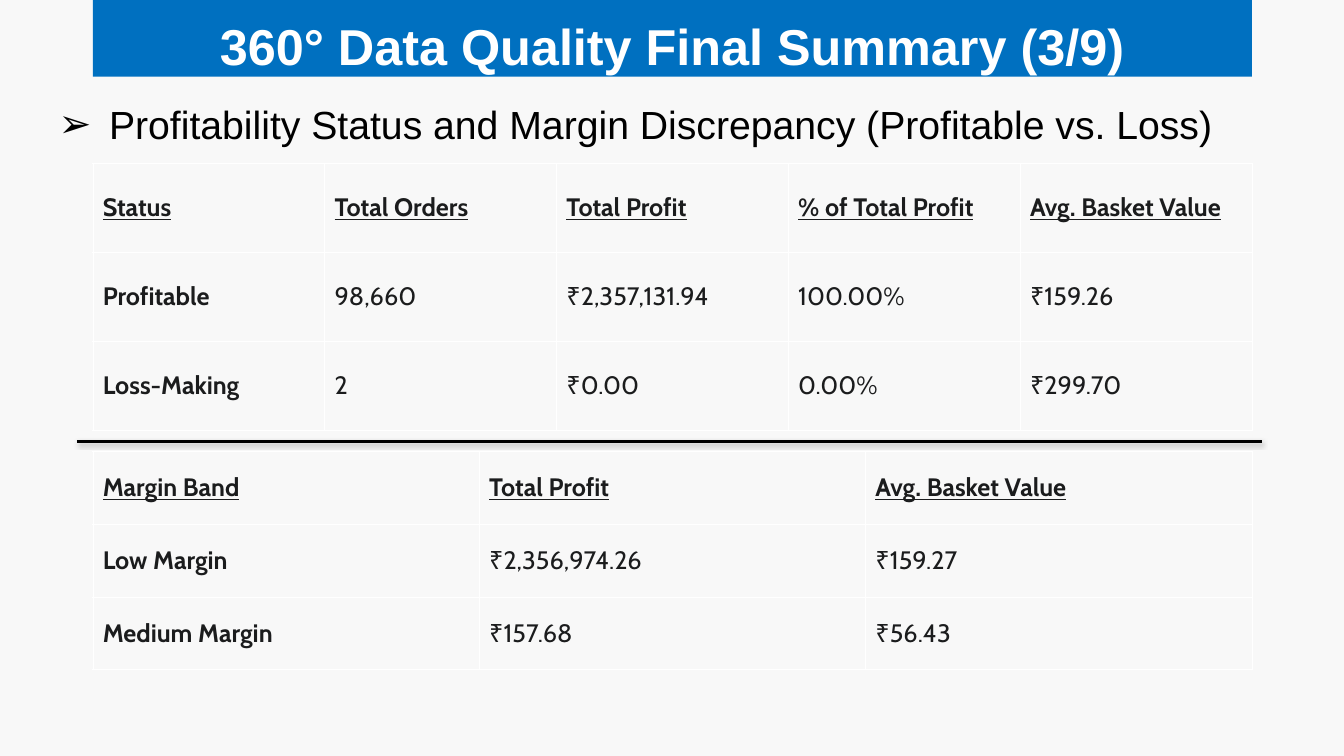
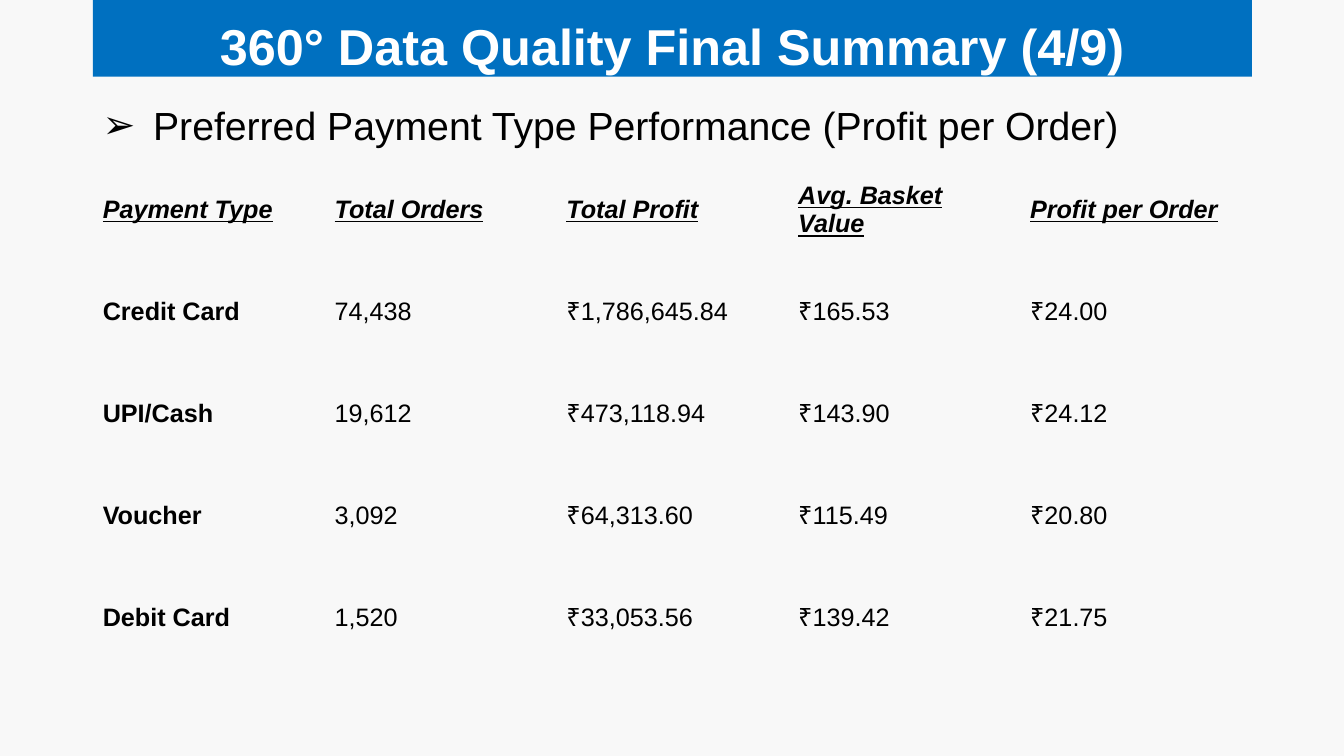
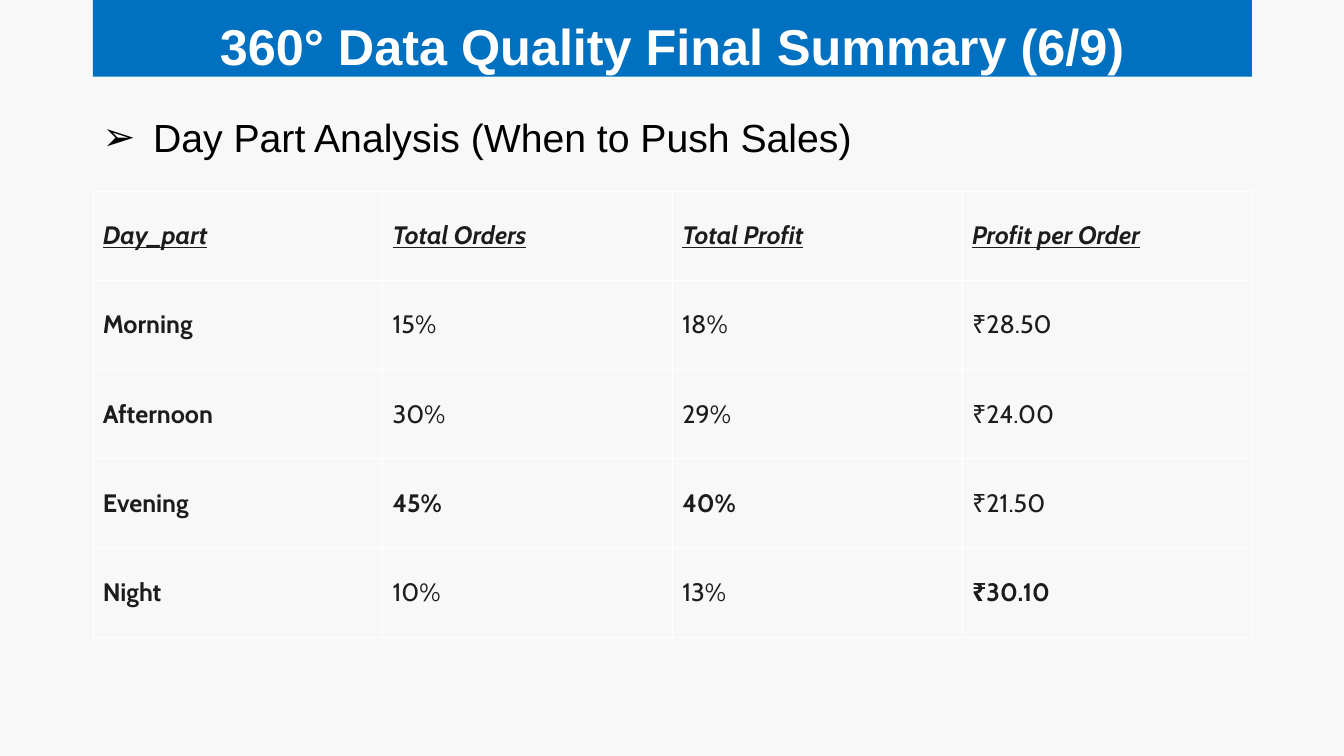
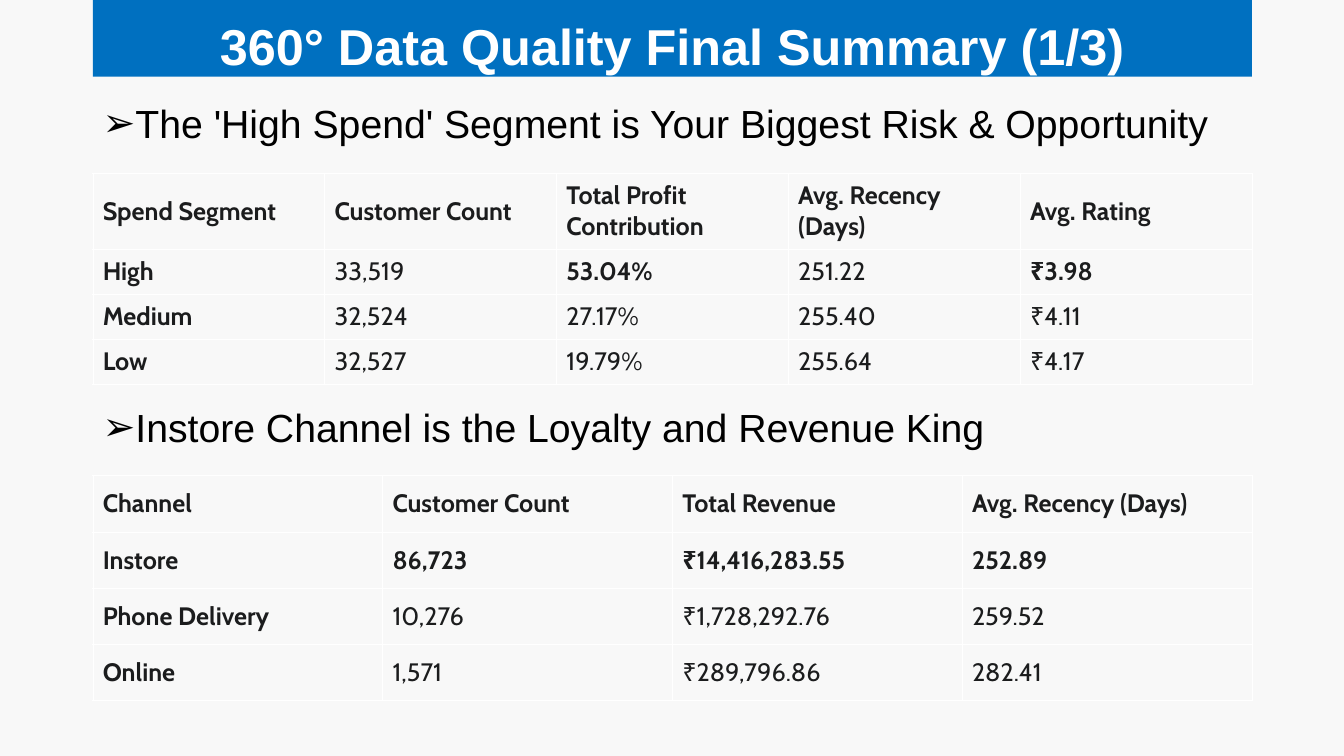
from dataclasses import dataclass

import pptx
import pptx.dml.color
import pptx.enum.shapes
import pptx.enum.text
import pptx.oxml
import pptx.oxml.ns
import pptx.util
from pptx.util import Cm, Pt

A_NS = pptx.oxml.ns.nsdecls("a")
NO_GRID_STYLE = "{2D5ABB26-0587-4C30-8999-92F81FD0307C}"


@dataclass(frozen=True)
class Theme:
    background: str = "F8F8F8"
    band: str = "0070C0"
    white: str = "FFFFFF"
    black: str = "000000"
    table_ink: str = "1B1C1D"
    main_font: str = "Arial"
    table_font: str = "Cabin"
    title_size: int = 36
    heading_size: int = 28
    table_size: int = 18


@dataclass(frozen=True)
class Box:
    """A region of the slide, in centimetres."""
    left: float
    top: float
    width: float
    height: float

    def emu(self):
        return Cm(self.left), Cm(self.top), Cm(self.width), Cm(self.height)


@dataclass(frozen=True)
class TableLook:
    font: str
    ink: str
    grid: bool = True
    header_italic: bool = False
    header_underline: bool = True
    margin_y: float = 0.18


THEME = Theme()
LEFT, WIDTH = 2.34, 29.21
TITLE_BAND = Box(LEFT, 0, WIDTH, 1.93)
HEADING_HEIGHT = 1.45

UNDERLINED = TableLook(THEME.table_font, THEME.table_ink)
ITALIC = TableLook(THEME.table_font, THEME.table_ink, header_italic=True)
PLAIN = TableLook(THEME.table_font, THEME.table_ink, header_underline=False)
OPEN = TableLook(THEME.main_font, THEME.black, grid=False,
                 header_italic=True, margin_y=0.13)


def rgb(code):
    return pptx.dml.color.RGBColor.from_string(code)


def content_box(top, height):
    return Box(LEFT, top, WIDTH, height)


def style_font(font, name, size, color, bold=False, italic=False, underline=False):
    font.name, font.size = name, Pt(size)
    font.color.rgb = rgb(color)
    font.bold, font.italic, font.underline = bold, italic, underline


def add_summary_slide(prs, part):
    """Add a title-only slide with the blue title band."""
    slide = prs.slides.add_slide(prs.slide_layouts[5])
    title = slide.shapes.title
    title.left, title.top, title.width, title.height = TITLE_BAND.emu()
    title.fill.solid()
    title.fill.fore_color.rgb = rgb(THEME.band)
    frame = title.text_frame
    frame.text = f"360° Data Quality Final Summary ({part})"
    frame.auto_size = pptx.enum.text.MSO_AUTO_SIZE.NONE
    frame.vertical_anchor = pptx.enum.text.MSO_ANCHOR.TOP
    frame.margin_top, frame.margin_bottom = Cm(0.38), 0
    paragraph = frame.paragraphs[0]
    paragraph.alignment = pptx.enum.text.PP_ALIGN.CENTER
    style_font(paragraph.runs[0].font, THEME.main_font, THEME.title_size,
               THEME.white, bold=True)
    return slide


def add_heading(slide, box, text, indent=1.27):
    """Add a section heading with an arrow bullet and a hanging indent."""
    frame = slide.shapes.add_textbox(*box.emu()).text_frame
    frame.word_wrap = True
    frame.text = text
    paragraph = frame.paragraphs[0]
    properties = paragraph._p.get_or_add_pPr()
    properties.set("marL", str(Cm(indent)))
    properties.set("indent", str(-Cm(indent)))
    for bullet in (f'<a:buFont {A_NS} typeface="{THEME.main_font}"/>',
                   f'<a:buChar {A_NS} char="➢"/>'):
        properties.append(pptx.oxml.parse_xml(bullet))
    style_font(paragraph.runs[0].font, THEME.main_font, THEME.heading_size, THEME.black)


def add_cell_borders(cell):
    properties = cell._tc.get_or_add_tcPr()
    for side in "LRTB":
        properties.append(pptx.oxml.parse_xml(
            f'<a:ln{side} {A_NS} w="{Pt(0.6)}"><a:solidFill>'
            f'<a:srgbClr val="{THEME.white}"/></a:solidFill></a:ln{side}>'))


def add_data_table(slide, box, rows, look, highlights=(), header_height=None):
    """Fill the box with a table; highlights are the values set in bold."""
    row_count, column_count = len(rows), len(rows[0])
    graphic = slide.shapes.add_table(row_count, column_count, *box.emu())
    table = graphic.table
    table.first_row = table.horz_banding = False
    for style in graphic.element.iter(pptx.oxml.ns.qn("a:tableStyleId")):
        style.text = NO_GRID_STYLE

    for column in table.columns:
        column.width = Cm(box.width / column_count)
    header_height = header_height or box.height / row_count
    body_height = (box.height - header_height) / (row_count - 1)
    for index, row in enumerate(table.rows):
        row.height = Cm(body_height if index else header_height)

    for row_index, values in enumerate(rows):
        is_header = row_index == 0
        for column_index, value in enumerate(values):
            cell = table.cell(row_index, column_index)
            cell.text = value
            cell.vertical_anchor = pptx.enum.text.MSO_ANCHOR.MIDDLE
            cell.margin_left = cell.margin_right = Cm(0.25)
            cell.margin_top = cell.margin_bottom = Cm(look.margin_y)
            if look.grid:
                add_cell_borders(cell)
            cell.fill.background()
            style_font(cell.text_frame.paragraphs[0].runs[0].font,
                       look.font, THEME.table_size, look.ink,
                       bold=is_header or column_index == 0 or value in highlights,
                       italic=is_header and look.header_italic,
                       underline=is_header and look.header_underline)


def add_divider(slide, left, right, y):
    """Add a horizontal black rule with a soft shadow below it."""
    divider = slide.shapes.add_connector(
        pptx.enum.shapes.MSO_CONNECTOR.STRAIGHT, Cm(left), Cm(y), Cm(right), Cm(y))
    divider.line.color.rgb = rgb(THEME.black)
    divider.line.width = Pt(2)
    divider.element.spPr.append(pptx.oxml.parse_xml(
        f'<a:effectLst {A_NS}><a:outerShdw blurRad="{Pt(3.1)}" dist="{Pt(1.6)}" '
        f'dir="5400000" rotWithShape="0"><a:srgbClr val="{THEME.black}">'
        '<a:alpha val="38000"/></a:srgbClr></a:outerShdw></a:effectLst>'))


def build_profitability(prs):
    slide = add_summary_slide(prs, "3/9")
    add_data_table(slide, content_box(4.11, 6.74), [
        ["Status", "Total Orders", "Total Profit", "% of Total Profit", "Avg. Basket Value"],
        ["Profitable", "98,660", "₹2,357,131.94", "100.00%", "₹159.26"],
        ["Loss-Making", "2", "₹0.00", "0.00%", "₹299.70"],
    ], UNDERLINED)
    add_heading(slide, Box(1.23, 2.41, 31.29, HEADING_HEIGHT),
                "Profitability Status and Margin Discrepancy (Profitable vs. Loss)")
    add_data_table(slide, content_box(11.37, 5.51), [
        ["Margin Band", "Total Profit", "Avg. Basket Value"],
        ["Low Margin", "₹2,356,974.26", "₹159.27"],
        ["Medium Margin", "₹157.68", "₹56.43"],
    ], UNDERLINED)
    add_divider(slide, 1.94, 31.8, 11.12)


def build_payment_types(prs):
    slide = add_summary_slide(prs, "4/9")
    add_data_table(slide, content_box(4.01, 12.85), [
        ["Payment Type", "Total Orders", "Total Profit", "Avg. Basket Value",
         "Profit per Order"],
        ["Credit Card", "74,438", "₹1,786,645.84", "₹165.53", "₹24.00"],
        ["UPI/Cash", "19,612", "₹473,118.94", "₹143.90", "₹24.12"],
        ["Voucher", "3,092", "₹64,313.60", "₹115.49", "₹20.80"],
        ["Debit Card", "1,520", "₹33,053.56", "₹139.42", "₹21.75"],
    ], OPEN)
    add_heading(slide, content_box(2.44, HEADING_HEIGHT),
                "Preferred Payment Type Performance (Profit per Order)")


def build_day_parts(prs):
    slide = add_summary_slide(prs, "6/9")
    add_data_table(slide, content_box(4.82, 11.23), [
        ["Day_part", "Total Orders", "Total Profit", "Profit per Order"],
        ["Morning", "15%", "18%", "₹28.50"],
        ["Afternoon", "30%", "29%", "₹24.00"],
        ["Evening", "45%", "40%", "₹21.50"],
        ["Night", "10%", "13%", "₹30.10"],
    ], ITALIC, highlights={"45%", "40%", "₹30.10"})
    add_heading(slide, content_box(2.74, HEADING_HEIGHT),
                "Day Part Analysis (When to Push Sales)")


def build_segments_and_channels(prs):
    slide = add_summary_slide(prs, "1/3")
    add_data_table(slide, content_box(4.37, 5.22), [
        ["Spend Segment", "Customer Count", "Total Profit Contribution",
         "Avg. Recency (Days)", "Avg. Rating"],
        ["High", "33,519", "53.04%", "251.22", "₹3.98"],
        ["Medium", "32,524", "27.17%", "255.40", "₹4.11"],
        ["Low", "32,527", "19.79%", "255.64", "₹4.17"],
    ], PLAIN, highlights={"53.04%", "₹3.98"}, header_height=1.89)
    add_heading(slide, content_box(2.39, HEADING_HEIGHT),
                "The 'High Spend' Segment is Your Biggest Risk & Opportunity", indent=0.79)
    add_heading(slide, content_box(10.03, HEADING_HEIGHT),
                "Instore Channel is the Loyalty and Revenue King", indent=0.79)
    add_data_table(slide, content_box(11.99, 5.67), [
        ["Channel", "Customer Count", "Total Revenue", "Avg. Recency (Days)"],
        ["Instore", "86,723", "₹14,416,283.55", "252.89"],
        ["Phone Delivery", "10,276", "₹1,728,292.76", "259.52"],
        ["Online", "1,571", "₹289,796.86", "282.41"],
    ], PLAIN, highlights={"86,723", "₹14,416,283.55", "252.89"})


def main():
    prs = pptx.Presentation()
    prs.slide_width, prs.slide_height = Cm(33.87), Cm(19.05)
    background = prs.slide_master.background.fill
    background.solid()
    background.fore_color.rgb = rgb(THEME.background)
    build_profitability(prs)
    build_payment_types(prs)
    build_day_parts(prs)
    build_segments_and_channels(prs)
    prs.save("out.pptx")


if __name__ == "__main__":
    main()
